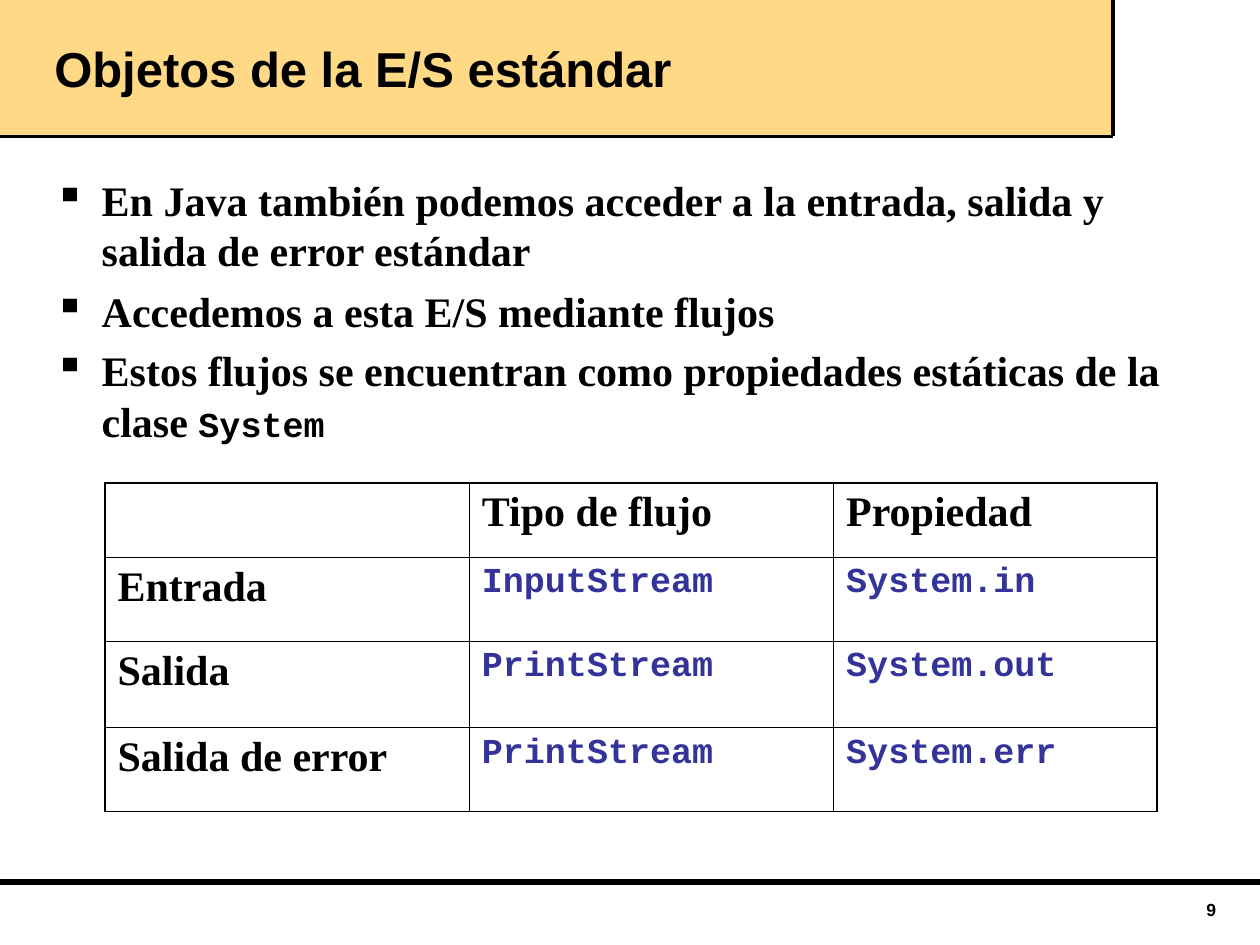
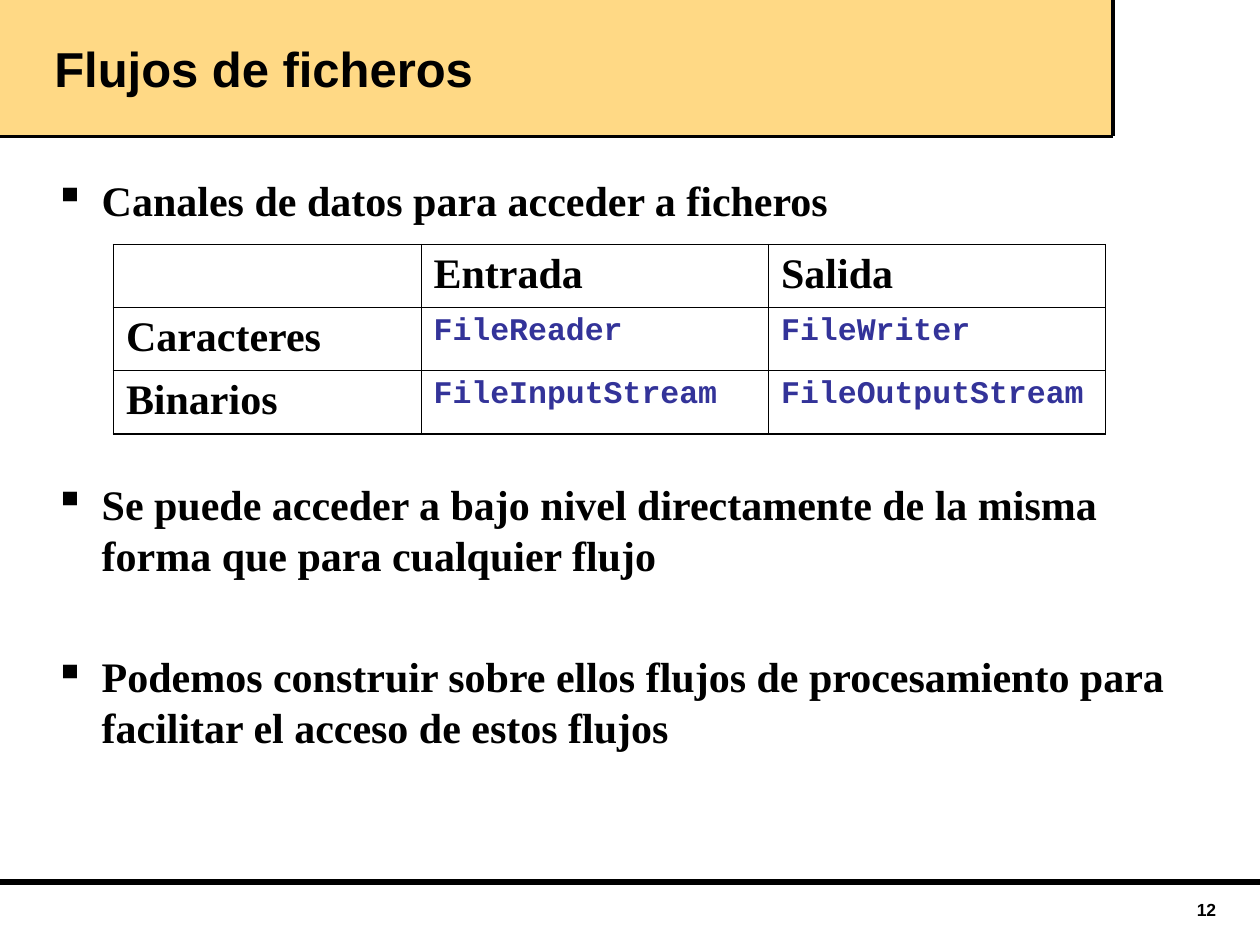
from lxml.etree import SubElement
from pptx import Presentation
from pptx.dml.color import RGBColor
from pptx.enum.shapes import MSO_CONNECTOR, MSO_SHAPE
from pptx.enum.text import MSO_ANCHOR, PP_ALIGN
from pptx.oxml.ns import qn
from pptx.util import Inches, Pt

BLACK = RGBColor(0x00, 0x00, 0x00)
SAND = RGBColor(0xFF, 0xD9, 0x85)
INDIGO = RGBColor(0x33, 0x33, 0x99)

HEADING, PROSE, CODE = "Arial", "Times New Roman", "Courier New"

GRID = Inches(1) / 12  # the slide is 120 columns by 90 rows
COLUMNS, ROWS = 120, 90
BAND_WIDTH, BAND_HEIGHT = 106, 13
MARGIN = 4
FOOTER_ROW = 84
INDENT = 4.5
PROSE_SIZE = 24
BULLET_GAP = 6
BLANK_LINE = 34.8
OUTER_BORDER, INNER_BORDER = 1.08, 0.45


def grid(*cells):
    return [round(cell * GRID) for cell in cells]


class Deck:
    def __init__(self):
        self.presentation = Presentation()
        self.presentation.slide_width, self.presentation.slide_height = grid(COLUMNS, ROWS)
        self.slide = None

    def start(self, title, number):
        """Open a slide with its band, rules, title and page number."""
        self.slide = self.presentation.slides.add_slide(self.presentation.slide_layouts[6])
        self.band()
        self.rule(0, FOOTER_ROW, COLUMNS, FOOTER_ROW, 3)
        self.rule(0, BAND_HEIGHT, BAND_WIDTH, BAND_HEIGHT, 2)
        self.rule(BAND_WIDTH, BAND_HEIGHT, BAND_WIDTH, 0, 2)

        heading = self.text_frame(MARGIN, 0, BAND_WIDTH - MARGIN, BAND_HEIGHT)
        heading.vertical_anchor = MSO_ANCHOR.MIDDLE
        self.run(heading.paragraphs[0], title, HEADING, 28)

        page = self.text_frame(91, 85, 26, 3).paragraphs[0]
        page.alignment = PP_ALIGN.RIGHT
        self.run(page, str(number), HEADING, 10)

    def band(self):
        band = self.slide.shapes.add_shape(
            MSO_SHAPE.RECTANGLE, *grid(0, 0, BAND_WIDTH, BAND_HEIGHT))
        band.shadow.inherit = False
        band.fill.solid()
        band.fill.fore_color.rgb = SAND
        band.line.fill.background()

    def rule(self, x1, y1, x2, y2, width):
        rule = self.slide.shapes.add_connector(MSO_CONNECTOR.STRAIGHT, *grid(x1, y1, x2, y2))
        rule.line.color.rgb = BLACK
        rule.line.width = Pt(width)
        SubElement(rule._element.spPr, qn("a:effectLst"))

    def text_frame(self, left, top, width, height):
        frame = self.slide.shapes.add_textbox(*grid(left, top, width, height)).text_frame
        frame.word_wrap = True
        return frame

    def run(self, paragraph, text, font=PROSE, size=PROSE_SIZE, color=BLACK):
        run = paragraph.add_run()
        run.text = text
        run.font.name = font
        run.font.size = Pt(size)
        run.font.bold = True
        run.font.color.rgb = color

    def bullets(self, width, items):
        """Each item is the space before it in points, its prose and its closing code."""
        frame = self.text_frame(MARGIN, 16, width, 61)
        for index, (gap, prose, code) in enumerate(items):
            paragraph = frame.add_paragraph() if index else frame.paragraphs[0]
            paragraph.space_before = Pt(gap)
            properties = paragraph._p.get_or_add_pPr()
            indent, = grid(INDENT)
            properties.set("marL", str(indent))
            properties.set("indent", str(-indent))
            SubElement(properties, qn("a:buChar"), char="▪")
            self.run(paragraph, prose)
            if code:
                self.run(paragraph, code, CODE, 20)

    def table(self, left, top, widths, heights, rows, code_size):
        """Draw a table whose first row and column are prose and the rest code."""
        table = self.slide.shapes.add_table(
            len(heights), len(widths),
            *grid(left, top, sum(widths), sum(heights))).table
        table.first_row = table.horz_banding = False
        for column, width in zip(table.columns, grid(*widths)):
            column.width = width
        for row, height in zip(table.rows, grid(*heights)):
            row.height = height
        last_row, last_column = len(heights) - 1, len(widths) - 1
        for r, labels in enumerate(rows):
            for c, label in enumerate(labels):
                cell = table.cell(r, c)
                self.borders(cell, L=c == 0, R=c == last_column, T=r == 0, B=r == last_row)
                cell.fill.background()
                if not label:
                    continue
                paragraph = cell.text_frame.paragraphs[0]
                is_code = r > 0 and c > 0
                size = code_size if is_code else PROSE_SIZE
                paragraph.space_before = Pt(size / 4)
                if is_code:
                    self.run(paragraph, label, CODE, size, INDIGO)
                else:
                    self.run(paragraph, label)

    def borders(self, cell, **is_outer):
        properties = cell._tc.get_or_add_tcPr()
        for side, outer in is_outer.items():
            width = Pt(OUTER_BORDER if outer else INNER_BORDER)
            border = SubElement(properties, qn(f"a:ln{side}"), w=str(width))
            fill = SubElement(border, qn("a:solidFill"))
            SubElement(fill, qn("a:srgbClr"), val=str(BLACK))


def standard_streams(deck):
    deck.start("Objetos de la E/S estándar", 9)
    deck.bullets(109.8, [
        (BULLET_GAP, "En Java también podemos acceder a la entrada, salida y "
                     "salida de error estándar", ""),
        (BULLET_GAP, "Accedemos a esta E/S mediante flujos", ""),
        (5, "Estos flujos se encuentran como propiedades estáticas de la clase ", "System"),
    ])
    deck.table(10, 46, [34.7, 34.7, 30.8], [7.1, 8, 8.2, 8], [
        ("", "Tipo de flujo", "Propiedad"),
        ("Entrada", "InputStream", "System.in"),
        ("Salida", "PrintStream", "System.out"),
        ("Salida de error", "PrintStream", "System.err"),
    ], 20)


def file_streams(deck):
    deck.start("Flujos de ficheros", 12)
    deck.bullets(111.7, [
        (BULLET_GAP, "Canales de datos para acceder a ficheros", ""),
        (BULLET_GAP + 4 * BLANK_LINE, "Se puede acceder a bajo nivel directamente de la misma "
                                      "forma que para cualquier flujo", ""),
        (BULLET_GAP + BLANK_LINE, "Podemos construir sobre ellos flujos de procesamiento para "
                                  "facilitar el acceso de estos flujos", ""),
    ])
    deck.table(10.8, 23.3, [29.3, 33.1, 32.1], [6, 6, 6], [
        ("", "Entrada", "Salida"),
        ("Caracteres", "FileReader", "FileWriter"),
        ("Binarios", "FileInputStream", "FileOutputStream"),
    ], 18)


def main():
    deck = Deck()
    standard_streams(deck)
    file_streams(deck)
    deck.presentation.save("out.pptx")


if __name__ == "__main__":
    main()
